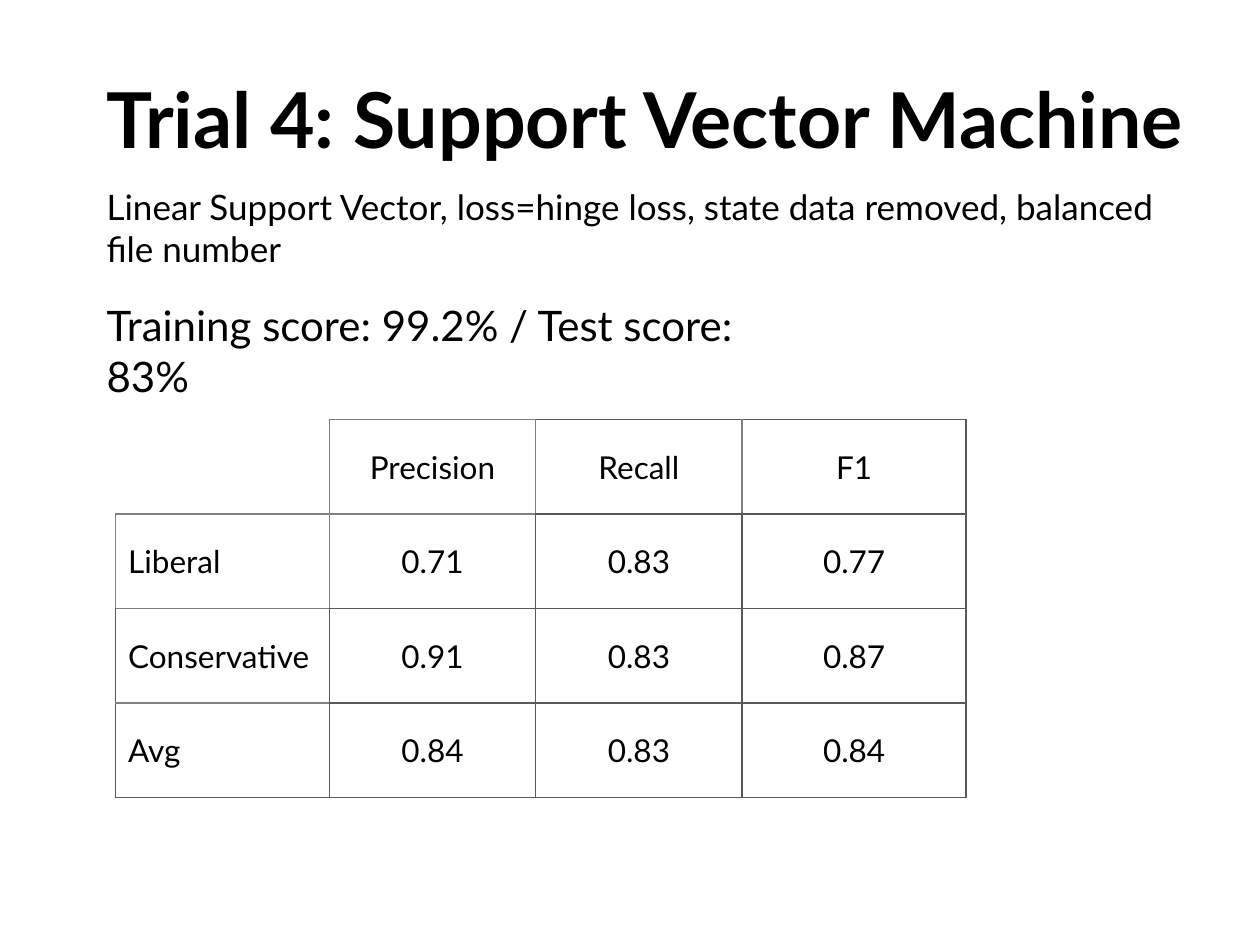
import lxml.etree
import pptx
import pptx.dml.color
import pptx.enum.text
import pptx.oxml.ns
import pptx.util

Cm = pptx.util.Cm
ALIGN = pptx.enum.text.PP_ALIGN
ANCHOR = pptx.enum.text.MSO_ANCHOR
BLACK = pptx.dml.color.RGBColor(0x00, 0x00, 0x00)
DARK_GREY = pptx.dml.color.RGBColor(0x59, 0x59, 0x59)
LIGHT_GREY = pptx.dml.color.RGBColor(0x80, 0x80, 0x80)
FONT = "Lato"

SCORES = [
    ["", "Precision", "Recall", "F1"],
    ["Liberal", "0.71", "0.83", "0.77"],
    ["Conservative", "0.91", "0.83", "0.87"],
    ["Avg", "0.84", "0.83", "0.84"],
]
COL_WIDTHS = [4.31, 4.16, 4.16, 4.52]
SIDES = ["lnL", "lnT", "lnR", "lnB"]
BORDER_COLORS = {"L": LIGHT_GREY, "D": DARK_GREY}
BORDERS = [
    ["--LL", "LLLL", "LDLD", "LDDD"],
    ["LLLL", "LLDD", "DDDD", "DDDD"],
    ["DLDL", "DDDD", "DDDD", "DDDD"],
    ["DLDD", "DDDD", "DDDD", "DDDD"],
]


def write_text(tf, text, size=18, bold=False, align=ALIGN.LEFT):
    """Write one formatted paragraph into a text frame."""
    p = tf.paragraphs[0]
    p.alignment = align
    r = p.add_run()
    r.text = text
    r.font.name = FONT
    r.font.size = pptx.util.Pt(size)
    r.font.bold = bold
    r.font.color.rgb = BLACK


def add_text(s, box, text, anchor=ANCHOR.TOP, **fmt):
    """Add a wrapping text box that fills the given box."""
    tf = s.shapes.add_textbox(*map(Cm, box)).text_frame
    tf.word_wrap = True
    tf.vertical_anchor = anchor
    write_text(tf, text, **fmt)


def set_borders(cell, code):
    """Draw left, top, right and bottom borders; a dash means no line."""
    tc_pr = cell._tc.get_or_add_tcPr()
    qn = pptx.oxml.ns.qn
    ordered = sorted(zip(SIDES, code), key=lambda e: "LRTB".index(e[0][-1]))
    for i, (side, shade) in enumerate(ordered):
        ln = lxml.etree.Element(qn("a:" + side), w="12700")
        if shade == "-":
            lxml.etree.SubElement(ln, qn("a:noFill"))
        else:
            fill = lxml.etree.SubElement(ln, qn("a:solidFill"))
            lxml.etree.SubElement(fill, qn("a:srgbClr"), val=str(BORDER_COLORS[shade]))
        tc_pr.insert(i, ln)


def add_heading(s, left, top, width):
    """Place the title, the model description and the overall scores."""
    add_text(s, (left, top, width, 3.18), "Trial 4: Support Vector Machine",
             anchor=ANCHOR.MIDDLE, size=44, bold=True)
    add_text(s, (left, top + 2.82, width - 0.43, 1.8),
             "Linear Support Vector, loss=hinge loss, state data removed, "
             "balanced file number", size=20)
    add_text(s, (left, top + 5.13, 14.6, 2.3),
             "Training score: 99.2% / Test score: 83%", size=24)


def add_scores(s, left, top, height):
    """Place the table of scores per class."""
    box = (left, top, sum(COL_WIDTHS), height)
    table = s.shapes.add_table(len(SCORES), len(COL_WIDTHS), *map(Cm, box)).table
    table.first_row = table.horz_banding = False
    for column, width in zip(table.columns, COL_WIDTHS):
        column.width = Cm(width)
    for i, row in enumerate(SCORES):
        for j, text in enumerate(row):
            cell = table.cell(i, j)
            cell.fill.background()
            cell.vertical_anchor = ANCHOR.MIDDLE
            set_borders(cell, BORDERS[i][j])
            if text:
                write_text(cell.text_frame, text,
                           align=ALIGN.CENTER if j else ALIGN.LEFT)


def main():
    """Build and save the slide."""
    prs = pptx.Presentation()
    prs.slide_width, prs.slide_height = Cm(25.4), Cm(19.05)
    s = prs.slides.add_slide(prs.slide_layouts[6])
    add_heading(s, 1.9, 0.79, 22.43)
    add_scores(s, 2.33, 8.46, 7.62)
    prs.save("out.pptx")


if __name__ == "__main__":
    main()
